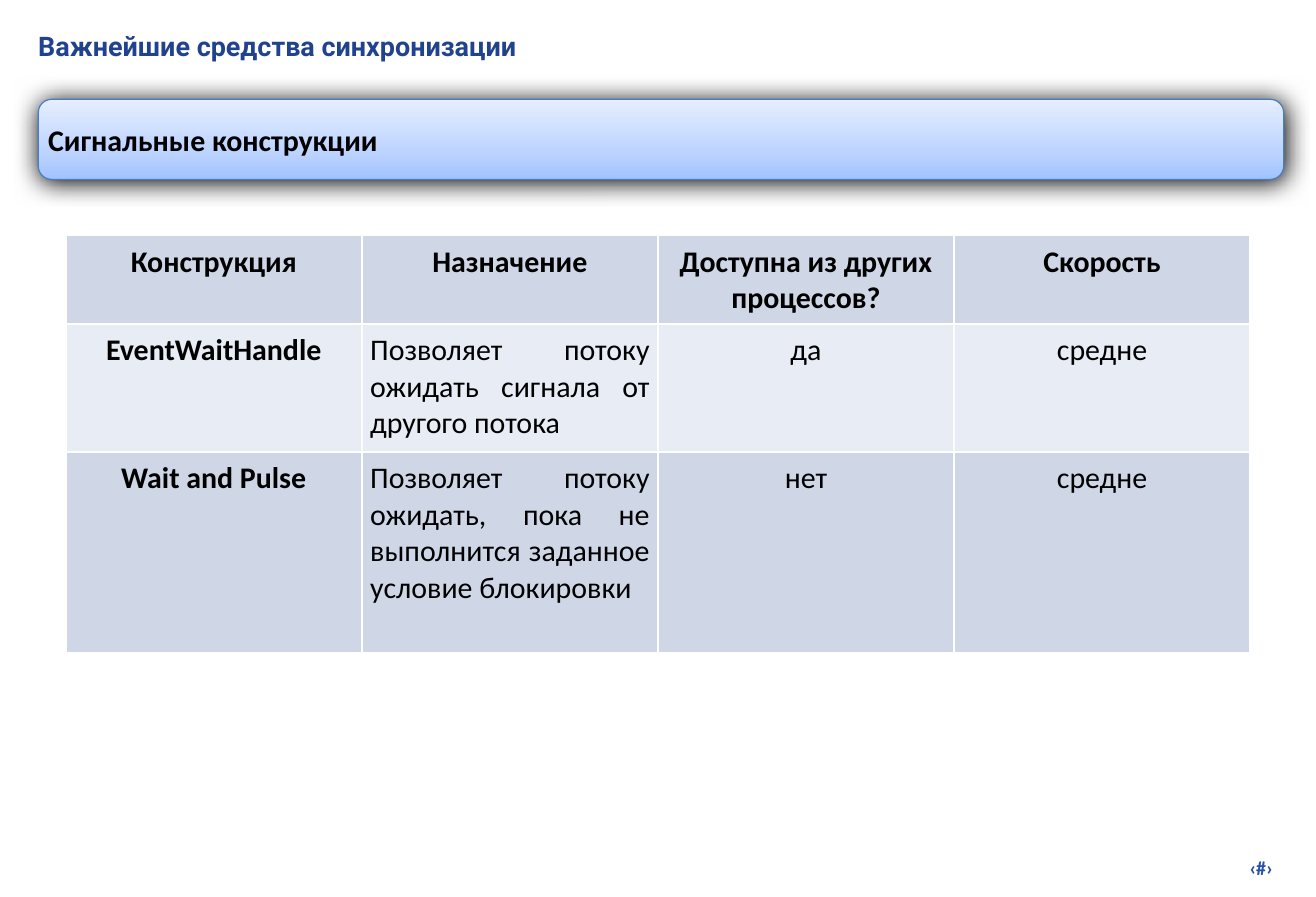
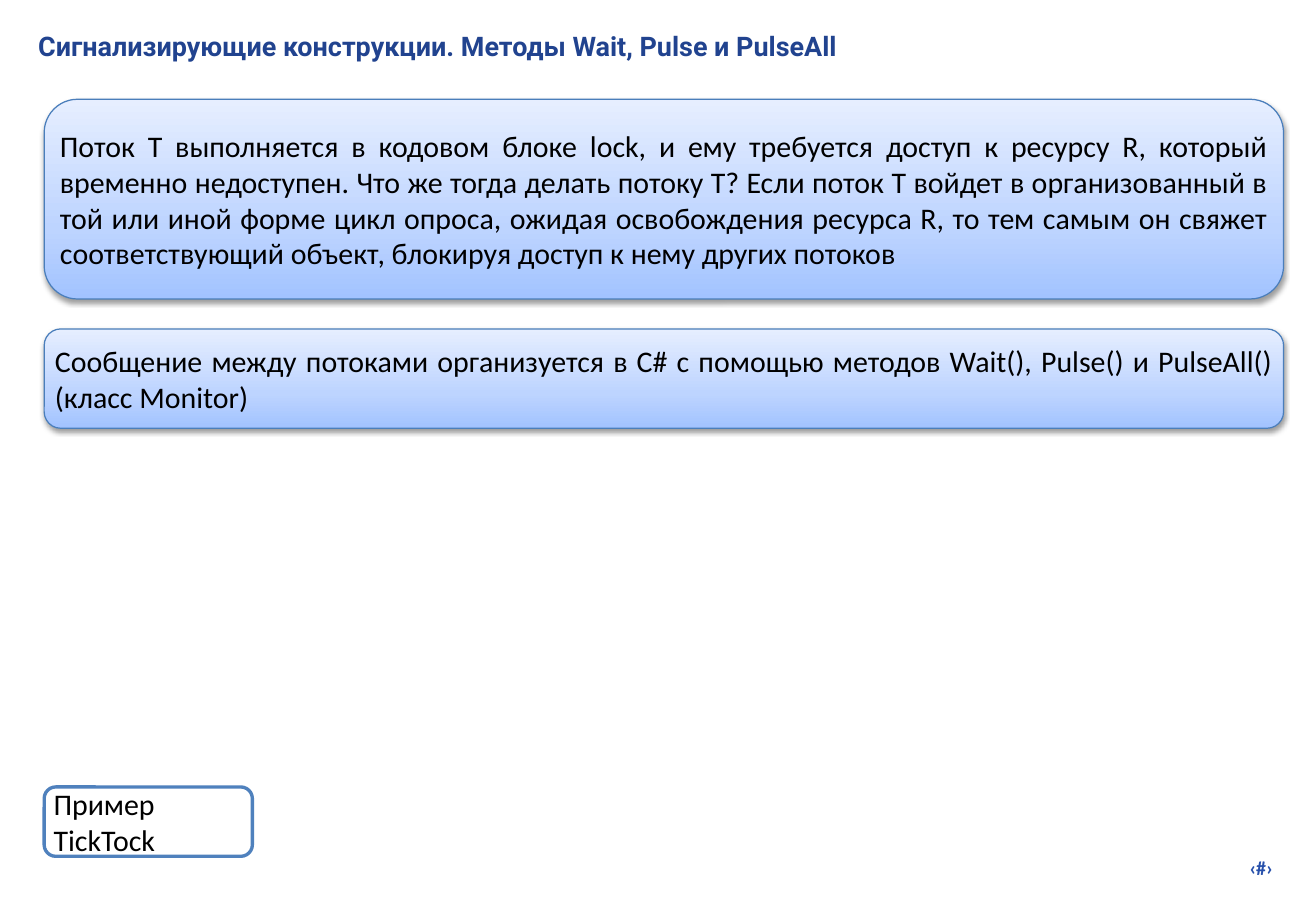
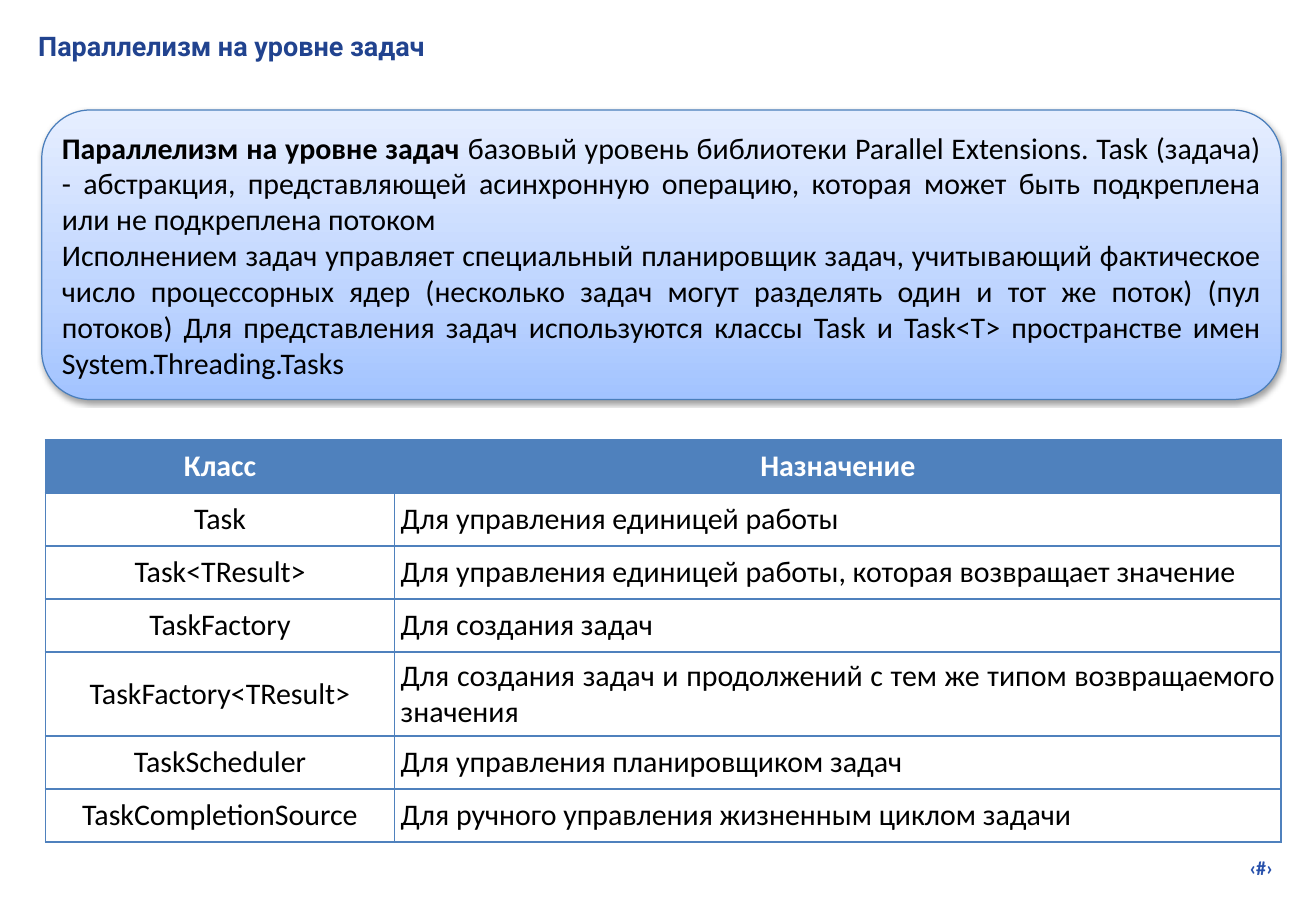
from copy import deepcopy

from lxml import etree
from pptx import Presentation
from pptx import util as u
from pptx.dml.color import RGBColor
from pptx.enum import shapes, text
from pptx.oxml.ns import qn

W, H = u.Inches(11), u.Inches(7.5)
COL, ROW = W / 100, H / 100
COLORS = {
    "title": "21438F", "number": "2750AB", "ink": "000000", "paper": "FFFFFF",
    "grad_low": "A2C3FF", "grad_mid": "BDD4FF", "grad_top": "E6EEFF",
    "edge": "4A7EBB", "accent": "4F81BD", "band": "CFD7E7", "band_light": "E8ECF4",
}
GRADIENT = [(0, "grad_low"), (0.35, "grad_mid"), (1, "grad_top")]
SOFT = {"alpha": 38, "blur": 3, "dist": 1.6}
STRONG = {"alpha": 100, "blur": 15, "dist": 0.7}
LEFT, CENTER, RIGHT, JUSTIFY = (
    text.PP_ALIGN.LEFT, text.PP_ALIGN.CENTER, text.PP_ALIGN.RIGHT, text.PP_ALIGN.JUSTIFY)

CONSTRUCTS = [
    ["Конструкция", "Назначение", "Доступна из других процессов?", "Скорость"],
    ["EventWaitHandle", "Позволяет потоку ожидать сигнала от другого потока", "да", "средне"],
    ["Wait and Pulse",
     "Позволяет потоку ожидать, пока не выполнится заданное условие блокировки",
     "нет", "средне"],
]
CLASSES = [
    ["Класс", "Назначение"],
    ["Task", "Для управления единицей работы"],
    ["Task<TResult>", "Для управления единицей работы, которая возвращает значение"],
    ["TaskFactory", "Для создания задач"],
    ["TaskFactory<TResult>",
     "Для создания задач и продолжений с тем же типом возвращаемого значения"],
    ["TaskScheduler", "Для управления планировщиком задач"],
    ["TaskCompletionSource", "Для ручного управления жизненным циклом задачи"],
]


def rgb(name):
    """Return a palette colour."""
    return RGBColor.from_string(COLORS[name])


def grid(x, y, w, h):
    """Turn columns and rows of the 100 by 100 slide grid into lengths."""
    return round(x * COL), round(y * ROW), round(w * COL), round(h * ROW)


def set_insets(holder, inches):
    """Give a text frame or a cell the same inset on all sides."""
    for side in ("left", "right", "top", "bottom"):
        setattr(holder, f"margin_{side}", u.Inches(inches))


def style(p, align=LEFT, size=18, color="ink", bold=False, name="Calibri"):
    """Set the alignment and font of a paragraph."""
    p.alignment = align
    p.font.name, p.font.size, p.font.bold = name, u.Pt(size), bold
    p.font.color.rgb = rgb(color)


def label(s, box, words, **font):
    """Place one line of text in a box."""
    tf = s.shapes.add_textbox(*box).text_frame
    tf.word_wrap = True
    set_insets(tf, 0.05)
    p = tf.paragraphs[0]
    p.text = words
    style(p, **font)


def shade(sp):
    """Fill a shape with the shared vertical gradient."""
    sp.fill.gradient()
    sp.fill.gradient_angle = 90
    stops = sp._element.spPr.find(".//" + qn("a:gsLst"))
    stops.append(deepcopy(stops[0]))
    for stop, (position, color) in zip(sp.fill.gradient_stops, GRADIENT):
        stop.position = position
        stop.color.rgb = rgb(color)


def drop_shadow(sp, alpha, blur, dist):
    """Add a downward black shadow to a shape."""
    effects = sp._element.spPr.find(qn("a:effectLst"))
    outer = etree.SubElement(effects, qn("a:outerShdw"), blurRad=str(u.Pt(blur)),
                             dist=str(u.Pt(dist)), dir="5400000", rotWithShape="0")
    color = etree.SubElement(outer, qn("a:srgbClr"), val=COLORS["ink"])
    etree.SubElement(color, qn("a:alpha"), val=str(alpha * 1000))


def panel(s, box, paragraphs, shadow=SOFT, align=JUSTIFY, bold=False, lead=None):
    """Draw a rounded panel with text; without a shadow it is a plain outlined one."""
    sp = s.shapes.add_shape(shapes.MSO_SHAPE.ROUNDED_RECTANGLE, *box)
    sp.shadow.inherit = False
    if shadow:
        shade(sp)
        drop_shadow(sp, **shadow)
    else:
        sp.fill.solid()
        sp.fill.fore_color.rgb = rgb("paper")
    sp.line.color.rgb = rgb("edge" if shadow else "accent")
    sp.line.width = u.Pt(0.75 if shadow else 2)
    tf = sp.text_frame
    tf.word_wrap = True
    tf.vertical_anchor = text.MSO_ANCHOR.MIDDLE
    set_insets(tf, 0.05)
    for i, words in enumerate(paragraphs):
        p = tf.add_paragraph() if i else tf.paragraphs[0]
        style(p, align, bold=bold)
        if lead and i == 0:
            r = p.add_run()
            r.text, r.font.bold = lead, True
        p.add_run().text = words


def set_borders(cell, color):
    """Draw one-point lines on all sides of a cell."""
    tc_pr = cell._tc.get_or_add_tcPr()
    for i, side in enumerate("LRTB"):
        ln = etree.Element(qn(f"a:ln{side}"), w=str(u.Pt(1)))
        fill = etree.SubElement(ln, qn("a:solidFill"))
        etree.SubElement(fill, qn("a:srgbClr"), val=COLORS[color])
        tc_pr.insert(i, ln)


def table(s, box, cols, rows, data, fills, border, inset, anchor,
          head_color="ink", bold_first=False):
    """Fill a box with a table whose columns and rows share it by weight."""
    tbl = s.shapes.add_table(len(rows), len(cols), *box).table
    tbl.first_row = tbl.horz_banding = False
    for parts, weights, size, total in ((tbl.columns, cols, "width", box[2]),
                                        (tbl.rows, rows, "height", box[3])):
        for part, weight in zip(parts, weights):
            setattr(part, size, round(total * weight / sum(weights)))
    for i, line in enumerate(data):
        for j, words in enumerate(line):
            cell = tbl.cell(i, j)
            set_insets(cell, inset)
            cell.vertical_anchor = anchor
            set_borders(cell, border)
            cell.fill.solid()
            cell.fill.fore_color.rgb = rgb(fills[i])
            p = cell.text_frame.paragraphs[0]
            p.text = words
            style(p, JUSTIFY if i and j == 1 else CENTER,
                  color="ink" if i else head_color,
                  bold=i == 0 or (bold_first and j == 0))


def new_slide(prs, title):
    """Add a blank slide with the shared title and number."""
    s = prs.slides.add_slide(prs.slide_layouts[6])
    label(s, grid(76, 94.67, 21.18, 3.87), "‹#›",
          align=RIGHT, size=12, color="number", bold=True)
    label(s, grid(2.45, 2.67, 95.45, 5.33), title,
          size=16.2, color="title", bold=True, name="Roboto")
    return s


def constructs_slide(prs):
    """Compare the signalling constructs."""
    s = new_slide(prs, "Важнейшие средства синхронизации")
    panel(s, grid(2.91, 11.07, 94.64, 8.93), ["Сигнальные конструкции"],
          shadow=STRONG, align=LEFT, bold=True)
    table(s, grid(5, 26.27, 90, 46.53), [1] * 4, [0.74, 1.07, 1.68], CONSTRUCTS,
          ["band", "band_light", "band"], "paper", 0.07, text.MSO_ANCHOR.TOP,
          bold_first=True)


def methods_slide(prs):
    """Explain the waiting and pulsing methods."""
    s = new_slide(prs, "Сигнализирующие конструкции. Методы Wait, Pulse и PulseAll")
    panel(s, grid(3.36, 11.07, 94.18, 22.27), [
        "Поток Т выполняется в кодовом блоке lock, и ему требуется доступ к ресурсу R, "
        "который временно недоступен. Что же тогда делать потоку T? Если поток Т войдет "
        "в организованный в той или иной форме цикл опроса, ожидая освобождения ресурса R, "
        "то тем самым он свяжет соответствующий объект, блокируя доступ к нему других потоков"])
    panel(s, grid(3.36, 36.67, 94.18, 11.07), [
        "Сообщение между потоками организуется в С# с помощью методов Wait(), Pulse() "
        "и PulseAll() (класс Monitor)"])
    panel(s, grid(3.36, 87.73, 15.82, 7.73), ["Пример TickTock"], shadow=None, align=LEFT)


def tasks_slide(prs):
    """Describe task parallelism and its classes."""
    s = new_slide(prs, "Параллелизм на уровне задач")
    panel(s, grid(3.18, 12.27, 94.18, 32.27), [
        "базовый уровень библиотеки Parallel Extensions. Task (задача) - абстракция, "
        "представляющей асинхронную операцию, которая может быть подкреплена "
        "или не подкреплена потоком",
        "Исполнением задач управляет специальный планировщик задач, учитывающий фактическое "
        "число процессорных ядер (несколько задач могут разделять один и тот же поток) "
        "(пул потоков) Для представления задач используются классы Task и Task<T> "
        "пространстве имен System.Threading.Tasks"],
        lead="Параллелизм на уровне задач ")
    table(s, grid(3.45, 49.07, 93.91, 44.8), [2.92, 7.41], [0.44] * 4 + [0.7] + [0.44] * 2,
          CLASSES, ["accent"] + ["paper"] * 6, "accent", 0.05, text.MSO_ANCHOR.MIDDLE,
          head_color="paper")


def main():
    """Build and save the presentation."""
    prs = Presentation()
    prs.slide_width, prs.slide_height = W, H
    for build in (constructs_slide, methods_slide, tasks_slide):
        build(prs)
    prs.save("out.pptx")


if __name__ == "__main__":
    main()
